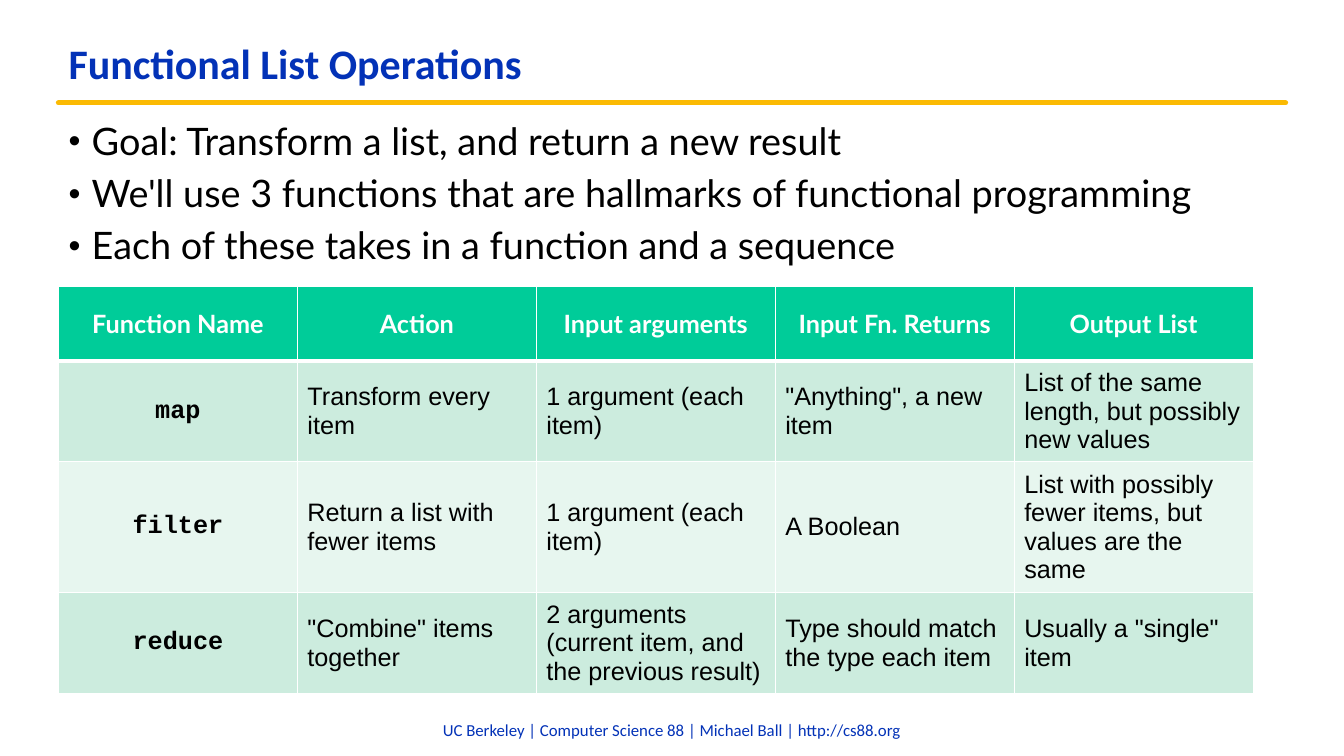
from dataclasses import dataclass

from lxml.etree import SubElement
from pptx import Presentation
from pptx.dml.color import RGBColor
from pptx.enum.shapes import MSO_CONNECTOR as Connector
from pptx.enum.text import MSO_ANCHOR as Anchor, MSO_AUTO_SIZE as AutoSize, PP_ALIGN as Align
from pptx.oxml.ns import qn
from pptx.util import Inches, Pt

# Content
TITLE = "Functional List Operations"
BULLETS = [
    "Goal: Transform a list, and return a new result",
    "We'll use 3 functions that are hallmarks of functional programming",
    "Each of these takes in a function and a sequence",
]
TABLE = [
    ("Function Name", "Action", "Input arguments", "Input Fn. Returns", "Output List"),
    ("map", "Transform every item", "1 argument (each item)",
     '"Anything", a new item', "List of the same length, but possibly new values"),
    ("filter", "Return a list with fewer items", "1 argument (each item)",
     "A Boolean", "List with possibly fewer items, but values are the same"),
    ("reduce", '"Combine" items together',
     "2 arguments (current item, and the previous result)",
     "Type should match the type each item", 'Usually a "single" item'),
]
FOOTER = "UC Berkeley | Computer Science 88 | Michael Ball | http://cs88.org"


@dataclass(frozen=True)
class Theme:
    blue: str = "0332B7"
    gold: str = "FBBA03"
    black: str = "000000"
    white: str = "FFFFFF"
    header: str = "00CC99"
    bands: tuple = ("CCECDE", "E7F6EF")
    title_font: str = "Calibri"
    body_font: str = "Lato"
    cell_font: str = "Arial"
    code_font: str = "Courier New"
    title_size: int = 30
    body_size: int = 27
    table_size: int = 18
    footer_size: int = 12


theme = Theme()

# Layout
LEFT, CONTENT_WIDTH = 0.58, 12.17
RULE_Y = 1.02
TABLE_TOP, COLUMN_WIDTH, ROW_HEIGHT = 2.84, 2.37, 0.74


def place(shape, left, top, width, height):
    shape.left, shape.top = Inches(left), Inches(top)
    shape.width, shape.height = Inches(width), Inches(height)


def format_paragraph(paragraph, font, size, color, bold=False, align=Align.LEFT):
    paragraph.alignment = align
    for run in paragraph.runs:
        run.font.name, run.font.size, run.font.bold = font, Pt(size), bold
        run.font.color.rgb = RGBColor.from_string(color)


def add_bullet(paragraph):
    properties = paragraph._p.get_or_add_pPr()
    properties.set("marL", str(Inches(0.23)))
    properties.set("indent", str(Inches(-0.23)))
    SubElement(properties, qn("a:buSzPct"), val="90000")
    SubElement(properties, qn("a:buFont"), typeface="Arial")
    SubElement(properties, qn("a:buChar"), char="•")


def add_borders(cell, row):
    widths = {"lnL": 1, "lnR": 1, "lnT": 3 if row == 1 else 1, "lnB": 3 if row == 0 else 1}
    properties = cell._tc.get_or_add_tcPr()
    for side, width in widths.items():
        line = SubElement(properties, qn(f"a:{side}"), w=str(Pt(width)))
        fill = SubElement(line, qn("a:solidFill"))
        SubElement(fill, qn("a:srgbClr"), val=theme.white)


def add_title(slide):
    title = slide.shapes.title
    place(title, LEFT, 0.25, 11.17, 0.81)
    frame = title.text_frame
    frame.text = TITLE
    frame.auto_size, frame.vertical_anchor = AutoSize.NONE, Anchor.MIDDLE
    frame.paragraphs[0].line_spacing = 0.9
    format_paragraph(frame.paragraphs[0], theme.title_font, theme.title_size, theme.blue, True)


def add_rule(slide):
    rule = slide.shapes.add_connector(
        Connector.STRAIGHT, Inches(LEFT), Inches(RULE_Y),
        Inches(LEFT + CONTENT_WIDTH), Inches(RULE_Y))
    rule.line.color.rgb = RGBColor.from_string(theme.gold)
    rule.line.width = Pt(3.75)
    rule.line._get_or_add_ln().set("cap", "rnd")
    SubElement(rule._element.spPr, qn("a:effectLst"))


def add_bullets(slide):
    body = slide.placeholders[1]
    place(body, LEFT, 1.17, CONTENT_WIDTH, 5.75)
    frame = body.text_frame
    frame.text = "\n".join(BULLETS)
    frame.auto_size, frame.vertical_anchor = AutoSize.NONE, Anchor.TOP
    for paragraph in frame.paragraphs:
        paragraph.line_spacing, paragraph.space_before = 0.9, Pt(8)
        add_bullet(paragraph)
        format_paragraph(paragraph, theme.body_font, theme.body_size, theme.black)


def cell_style(row, column):
    """Return the fill, font, text colour, weight and alignment of a cell."""
    if row == 0:
        return theme.header, theme.body_font, theme.white, True, Align.CENTER
    band = theme.bands[(row - 1) % 2]
    if column == 0:
        return band, theme.code_font, theme.black, True, Align.CENTER
    return band, theme.cell_font, theme.black, False, Align.LEFT


def add_function_table(slide):
    rows, columns = len(TABLE), len(TABLE[0])
    table = slide.shapes.add_table(
        rows, columns, Inches(LEFT), Inches(TABLE_TOP),
        Inches(COLUMN_WIDTH * columns), Inches(ROW_HEIGHT * rows)).table
    for row, texts in enumerate(TABLE):
        for column, text in enumerate(texts):
            cell = table.cell(row, column)
            fill, font, color, bold, align = cell_style(row, column)
            add_borders(cell, row)
            cell.fill.solid()
            cell.fill.fore_color.rgb = RGBColor.from_string(fill)
            cell.vertical_anchor = Anchor.MIDDLE
            cell.text_frame.text = text
            format_paragraph(cell.text_frame.paragraphs[0], font, theme.table_size,
                             color, bold, align)


def add_footer(slide):
    frame = slide.shapes.add_textbox(
        Inches(4.26), Inches(7.07), Inches(4.81), Inches(0.36)).text_frame
    frame.word_wrap, frame.vertical_anchor = True, Anchor.MIDDLE
    frame.margin_left = frame.margin_right = Inches(0.08)
    frame.margin_top = frame.margin_bottom = Inches(0.04)
    frame.text = FOOTER
    frame.paragraphs[0].line_spacing = 0.9
    format_paragraph(frame.paragraphs[0], theme.title_font, theme.footer_size,
                     theme.blue, align=Align.CENTER)


def main():
    presentation = Presentation()
    presentation.slide_width, presentation.slide_height = Inches(13.33), Inches(7.5)
    slide = presentation.slides.add_slide(presentation.slide_layouts[1])
    add_rule(slide)
    add_footer(slide)
    add_title(slide)
    add_bullets(slide)
    add_function_table(slide)
    presentation.save("out.pptx")


if __name__ == "__main__":
    main()
